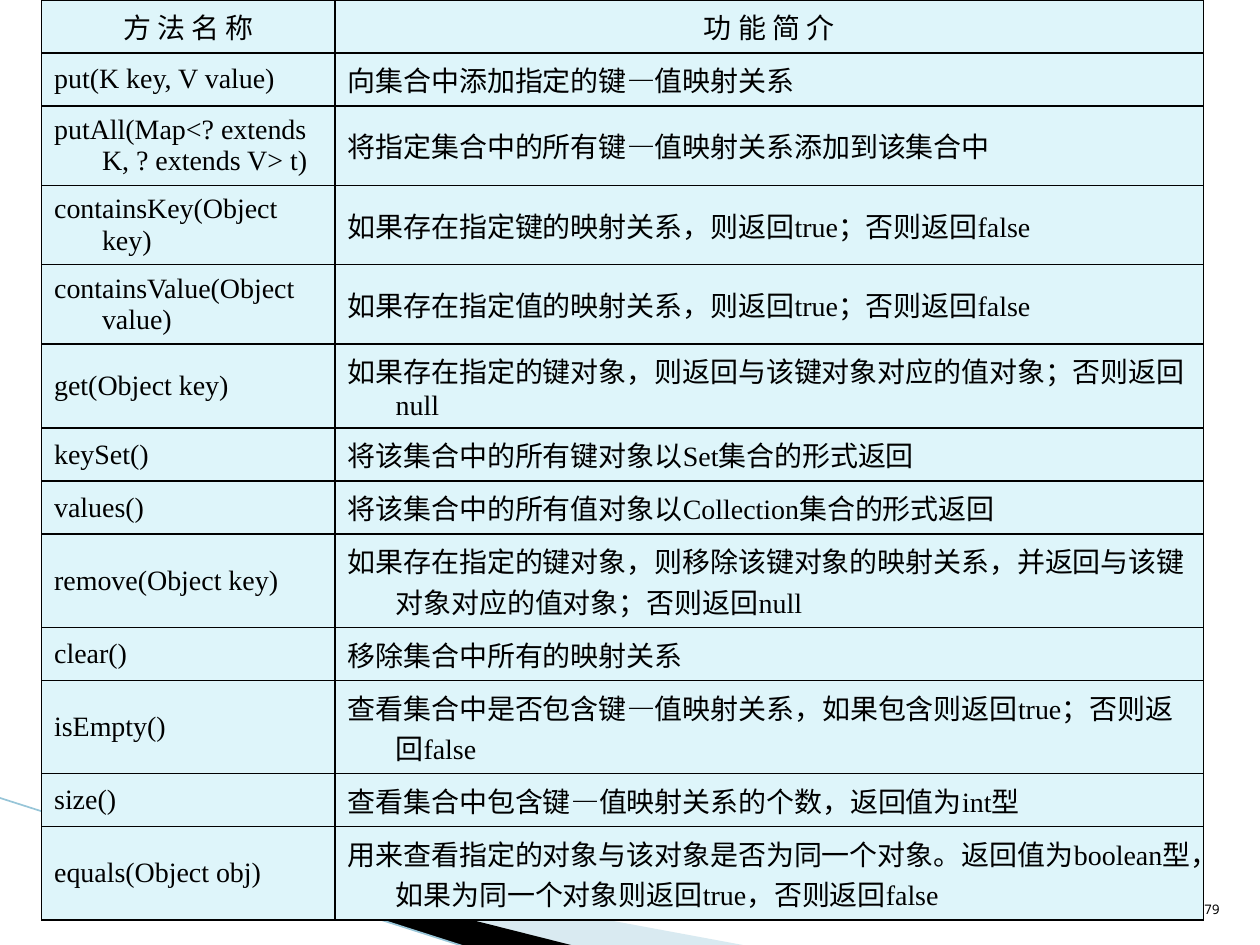
"""Build a slide listing the methods of the Map interface."""
from lxml import etree
from pptx import Presentation
from pptx.dml.color import RGBColor
from pptx.enum.shapes import MSO_CONNECTOR
from pptx.enum.text import MSO_ANCHOR, PP_ALIGN
from pptx.oxml.ns import qn
from pptx.util import Inches, Pt

LINE = MSO_CONNECTOR.STRAIGHT
MIDDLE, BOTTOM = MSO_ANCHOR.MIDDLE, MSO_ANCHOR.BOTTOM
LEFT, CENTER, RIGHT = PP_ALIGN.LEFT, PP_ALIGN.CENTER, PP_ALIGN.RIGHT

COLORS = {"ink": "000000", "cell": "DEF5FA", "wave": "A0CBDC", "edge": "97C5D8"}
BODY_FONT, DASH_FONT, NUMBER_FONT = "Times New Roman", "Arial", "Noto Sans Mono"
DASH = "—"
SHORT, TALL = 0.37, 0.63
COLUMNS = [2.33, 6.89]
HANGING = 0.38

ROWS = [
    (SHORT, "方 法 名 称", "功 能 简 介"),
    (SHORT, "put(K key, V value)", "向集合中添加指定的键—值映射关系"),
    (TALL, "putAll(Map<? extends K, ? extends V> t)",
     "将指定集合中的所有键—值映射关系添加到该集合中"),
    (TALL, "containsKey(Object key)", "如果存在指定键的映射关系，则返回true；否则返回false"),
    (TALL, "containsValue(Object value)", "如果存在指定值的映射关系，则返回true；否则返回false"),
    (TALL, "get(Object key)",
     "如果存在指定的键对象，则返回与该键对象对应的值对象；否则返回null"),
    (SHORT, "keySet()", "将该集合中的所有键对象以Set集合的形式返回"),
    (SHORT, "values()", "将该集合中的所有值对象以Collection集合的形式返回"),
    (TALL, "remove(Object key)",
     "如果存在指定的键对象，则移除该键对象的映射关系，并返回与该键对象对应的值对象；否则返回null"),
    (SHORT, "clear()", "移除集合中所有的映射关系"),
    (TALL, "isEmpty()", "查看集合中是否包含键—值映射关系，如果包含则返回true；否则返回false"),
    (SHORT, "size()", "查看集合中包含键—值映射关系的个数，返回值为int型"),
    (TALL, "equals(Object obj)",
     "用来查看指定的对象与该对象是否为同一个对象。返回值为boolean型，如果为同一个对象则返回true，否则返回false"),
]

WAVES = [
    ("wave", 40, [(0.55, 6.51), (5.95, 7.51), (4.56, 7.51), (0.55, 6.5)]),
    ("ink", 100, [(0.53, 6.49), (4.57, 7.51), (3.72, 7.52), (0.54, 6.5)]),
]
EDGE = [(-0.01, 6.33), (3.71, 7.52)]


def rgb(name):
    return RGBColor.from_string(COLORS[name])


def add_run(p, text, font, size):
    r = p.add_run()
    r.text = text
    for key, value in {"name": font, "size": Pt(size)}.items():
        setattr(r.font, key, value)
    r.font.color.rgb = rgb("ink")


def add_wave(s, color, alpha, points):
    start, *rest = [(Inches(x), Inches(y)) for x, y in points]
    builder = s.shapes.build_freeform(*start)
    builder.add_line_segments(rest)
    sp = builder.convert_to_shape()
    sp.shadow.inherit = False
    sp.line.fill.background()
    sp.fill.solid()
    sp.fill.fore_color.rgb = rgb(color)
    if alpha < 100:
        clr = sp.fill._xPr.find(".//" + qn("a:srgbClr"))
        etree.SubElement(clr, qn("a:alpha"), val=str(alpha * 1000))


def add_edge(s):
    ends = [Inches(v) for point in EDGE for v in point]
    line = s.shapes.add_connector(LINE, *ends)
    line.line.color.rgb = rgb("edge")
    line.line.width = Pt(0.95)
    etree.SubElement(line._element.spPr, qn("a:effectLst"))


def set_borders(cell, widths):
    tc_pr = cell._tc.get_or_add_tcPr()
    for i, (side, width) in enumerate(widths.items()):
        ln = etree.Element(qn(f"a:ln{side}"), w=str(Pt(width)))
        fill = etree.SubElement(ln, qn("a:solidFill"))
        etree.SubElement(fill, qn("a:srgbClr"), val=COLORS["ink"])
        tc_pr.insert(i, ln)


def fill_cell(cell, text, align, widths):
    cell.fill.solid()
    cell.fill.fore_color.rgb = rgb("cell")
    cell.vertical_anchor = MIDDLE
    p = cell.text_frame.paragraphs[0]
    p.alignment = align
    p_pr = p._p.get_or_add_pPr()
    p_pr.set("marL", str(Inches(HANGING)))
    p_pr.set("indent", str(-Inches(HANGING)))
    before, dash, after = text.partition(DASH)
    for part, font in ((before, BODY_FONT), (dash, DASH_FONT), (after, BODY_FONT)):
        if part:
            add_run(p, part, font, 16)
    set_borders(cell, widths)


def add_methods_table(s):
    height = sum(row[0] for row in ROWS)
    frame = s.shapes.add_table(len(ROWS), len(COLUMNS), Inches(0.33), 0,
                               Inches(sum(COLUMNS)), Inches(height))
    table = frame.table
    table.first_row = table.horz_banding = False
    for column, width in zip(table.columns, COLUMNS):
        column.width = Inches(width)
    for i, (row_height, *texts) in enumerate(ROWS):
        table.rows[i].height = Inches(row_height)
        for j, text in enumerate(texts):
            widths = {"L": 1 if j else 0.75, "R": 0.75 if j else 1, "T": 1, "B": 1}
            fill_cell(table.cell(i, j), text, LEFT if i else CENTER, widths)


def add_page_number(s):
    box = s.shapes.add_textbox(Inches(7.7), Inches(6.83), Inches(2.08), Inches(0.5))
    tf = box.text_frame
    tf.word_wrap = True
    tf.vertical_anchor = BOTTOM
    p = tf.paragraphs[0]
    p.alignment = RIGHT
    add_run(p, "79", NUMBER_FONT, 7.5)


def main():
    prs = Presentation()
    prs.slide_width, prs.slide_height = Inches(10), Inches(7.5)
    s = prs.slides.add_slide(prs.slide_layouts[6])
    for wave in WAVES:
        add_wave(s, *wave)
    add_edge(s)
    add_methods_table(s)
    add_page_number(s)
    prs.save("out.pptx")


if __name__ == "__main__":
    main()
